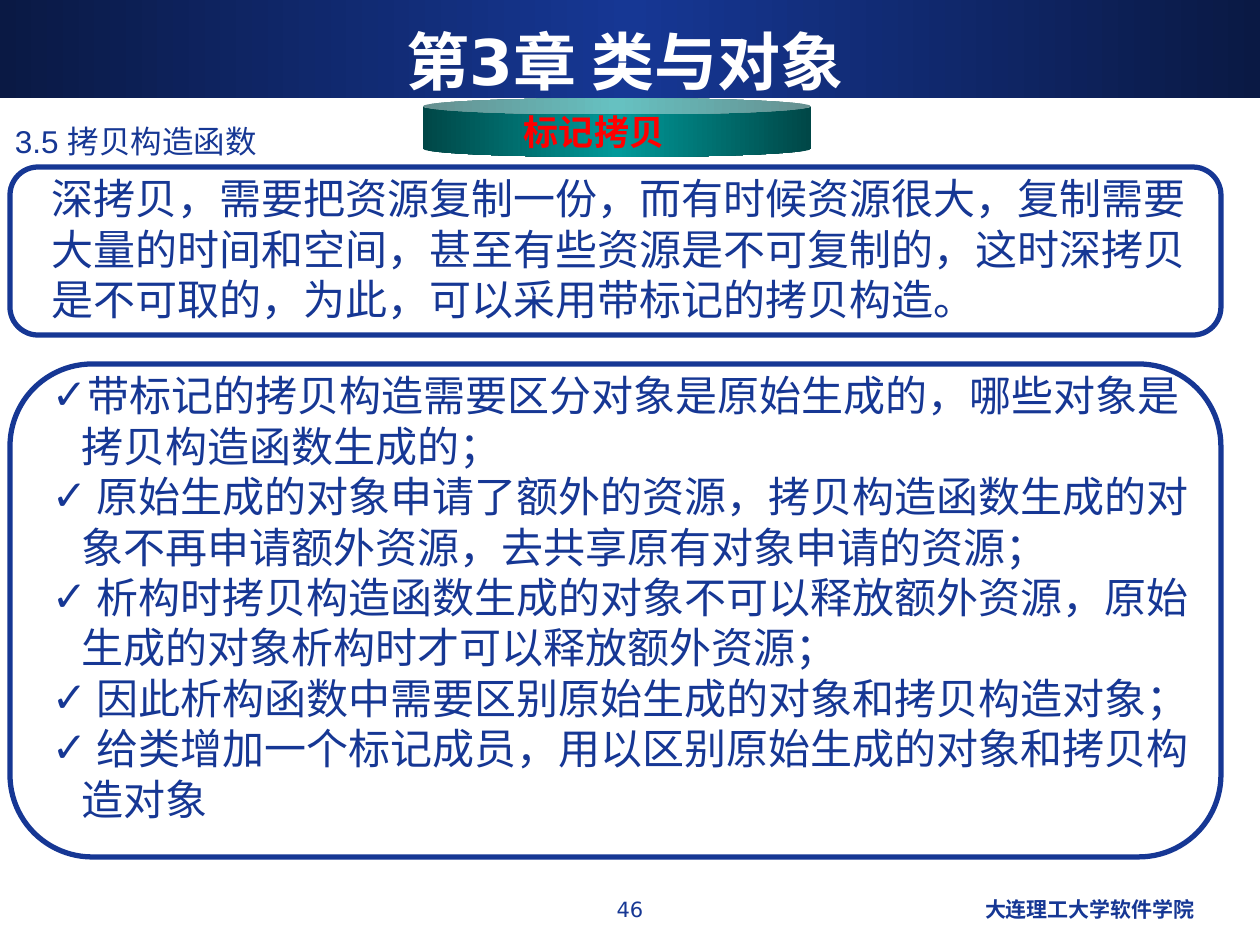
import copy
import dataclasses

import pptx
import pptx.dml.color
import pptx.enum.shapes
import pptx.enum.text
import pptx.oxml
import pptx.oxml.ns
import pptx.util

ALIGN = pptx.enum.text.PP_ALIGN
ANCHOR = pptx.enum.text.MSO_ANCHOR
SHAPE = pptx.enum.shapes.MSO_SHAPE
qn = pptx.oxml.ns.qn


@dataclasses.dataclass(frozen=True)
class Theme:
    navy: str = "163794"
    navy_dark: str = "0A1944"
    teal: str = "009999"
    teal_dark: str = "004747"
    red: str = "FF0000"
    white: str = "FFFFFF"
    body_font: str = "Arial"
    display_font: str = "DejaVu Sans"
    title_size: int = 36
    body_size: int = 24
    label_size: int = 20
    section_size: int = 18
    footer_size: int = 12
    border: int = 3


THEME = Theme()
INSETS = (13, 6, 13, 6)
HANGING = 30

INTRO = [
    "深拷贝，需要把资源复制一份，而有时候资源很大，复制需要大量的时间和空间，"
    "甚至有些资源是不可复制的，这时深拷贝是不可取的，为此，可以采用带标记的拷贝构造。",
]
POINTS = [
    "带标记的拷贝构造需要区分对象是原始生成的，哪些对象是拷贝构造函数生成的；",
    " 原始生成的对象申请了额外的资源，拷贝构造函数生成的对象不再申请额外资源，去共享原有对象申请的资源；",
    " 析构时拷贝构造函数生成的对象不可以释放额外资源，原始生成的对象析构时才可以释放额外资源；",
    " 因此析构函数中需要区别原始生成的对象和拷贝构造对象；",
    " 给类增加一个标记成员，用以区别原始生成的对象和拷贝构造对象",
]


def px(length):
    """Turn pixels, 126 to the inch, into EMU."""
    return pptx.util.Emu(round(length * 914400 / 126))


def rgb(color):
    return pptx.dml.color.RGBColor.from_string(color)


def add_shape(slide, kind, box):
    shape = slide.shapes.add_shape(kind, *map(px, box))
    shape.shadow.inherit = False
    shape.fill.background()
    shape.line.fill.background()
    return shape


def fill_gradient(shape, edge, middle):
    """Fill from edge colour through the middle colour and back, left to right."""
    shape.fill.gradient()
    shape.fill.gradient_angle = 0
    stop_list = shape._element.spPr.find(qn("a:gradFill")).find(qn("a:gsLst"))
    stop_list.insert(1, copy.deepcopy(stop_list[0]))
    for stop, color, position in zip(shape.fill.gradient_stops, (edge, middle, edge), (0, 0.5, 1)):
        stop.color.rgb = rgb(color)
        stop.position = position


def add_check_bullet(paragraph):
    properties = paragraph._p.get_or_add_pPr()
    properties.set("marL", str(px(HANGING)))
    properties.set("indent", str(-px(HANGING)))
    namespace = pptx.oxml.ns.nsdecls("a")
    for element in (
        f'<a:buClr {namespace}><a:srgbClr val="{THEME.navy}"/></a:buClr>',
        f'<a:buFont {namespace} typeface="{THEME.display_font}"/>',
        f'<a:buChar {namespace} char="✓"/>',
    ):
        properties.append(pptx.oxml.parse_xml(element))


def write(shape, lines, size, color, font, bold=False, align=ALIGN.LEFT,
          anchor=ANCHOR.TOP, insets=INSETS, bullets=False):
    frame = shape.text_frame
    frame.word_wrap = True
    frame.vertical_anchor = anchor
    frame.margin_left, frame.margin_top, frame.margin_right, frame.margin_bottom = map(px, insets)
    frame.text = "\n".join(lines)
    for paragraph in frame.paragraphs:
        paragraph.alignment = align
        if bullets:
            add_check_bullet(paragraph)
        for run in paragraph.runs:
            run.font.size = pptx.util.Pt(size)
            run.font.bold = bold
            run.font.name = font
            run.font.color.rgb = rgb(color)


def add_text(slide, box, lines, size, color, font, **options):
    write(slide.shapes.add_textbox(*map(px, box)), lines, size, color, font, **options)


def add_header(slide, box):
    left, top, width, height = box
    fill_gradient(add_shape(slide, SHAPE.RECTANGLE, box), THEME.navy_dark, THEME.navy)
    add_text(slide, (left + 42, top + 21, 1166, height - 20), ["第3章 类与对象"],
             THEME.title_size, THEME.white, THEME.display_font, bold=True,
             align=ALIGN.CENTER, anchor=ANCHOR.MIDDLE, insets=(0, 0, 0, 0))


def add_topic_row(slide, box):
    """Place the section heading and the can that names the topic."""
    left, top, width, height = box
    add_text(slide, (left + 2, top + 18, 1166, 42), ["3.5 拷贝构造函数"],
             THEME.section_size, THEME.navy, THEME.body_font)
    can = add_shape(slide, SHAPE.CAN, (left + 423, top, 388, height))
    can.adjustments[0] = 0.28
    fill_gradient(can, THEME.teal_dark, THEME.teal)
    write(can, ["标记拷贝"], THEME.label_size, THEME.red, THEME.body_font, bold=True,
          anchor=ANCHOR.MIDDLE, insets=(101, 6, 13, 6))


def add_panel(slide, box, lines, bullets=False):
    left, top, width, height = box
    frame = add_shape(slide, SHAPE.ROUNDED_RECTANGLE, box)
    frame.line.color.rgb = rgb(THEME.navy)
    frame.line.width = pptx.util.Pt(THEME.border)
    add_text(slide, (left + 29, top, width - 39, height - 4), lines,
             THEME.body_size, THEME.navy, THEME.body_font, bullets=bullets)


def add_footer(slide, box):
    left, top, width, height = box
    add_text(slide, (left + 483, top, 294, height), ["46"], THEME.footer_size,
             THEME.navy, THEME.display_font, align=ALIGN.CENTER)
    add_text(slide, (left + 809, top, 399, height), ["大连理工大学软件学院"], THEME.footer_size,
             THEME.navy, THEME.display_font, bold=True, align=ALIGN.RIGHT)


def main():
    presentation = pptx.Presentation()
    presentation.slide_width, presentation.slide_height = px(1260), px(945)
    slide = presentation.slides.add_slide(presentation.slide_layouts[6])
    add_header(slide, (0, 0, 1260, 98))
    add_topic_row(slide, (0, 98, 1260, 59))
    add_panel(slide, (10, 167, 1211, 168), INTRO)
    add_panel(slide, (10, 364, 1211, 493), POINTS, bullets=True)
    add_footer(slide, (0, 891, 1260, 44))
    presentation.save("out.pptx")


if __name__ == "__main__":
    main()
